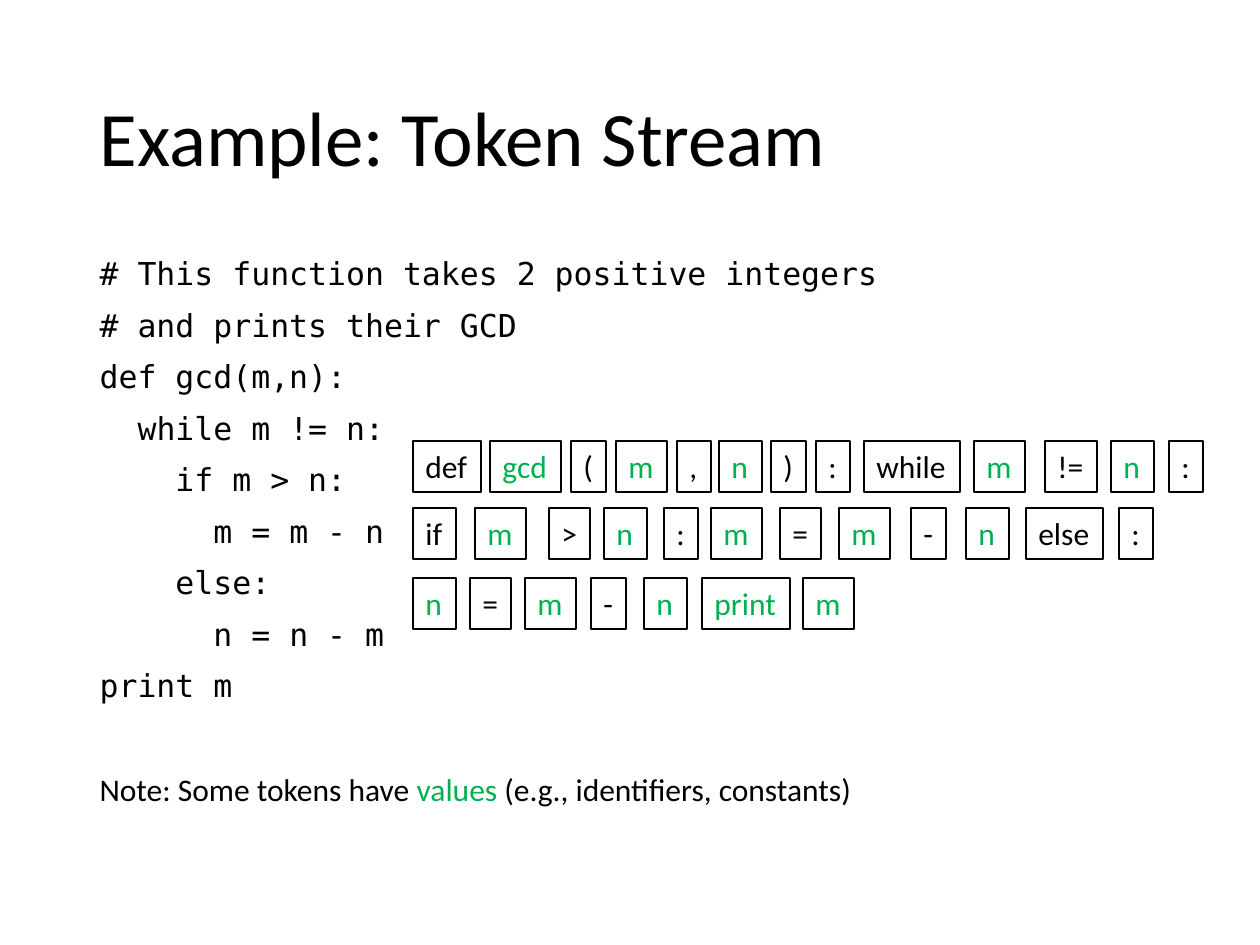
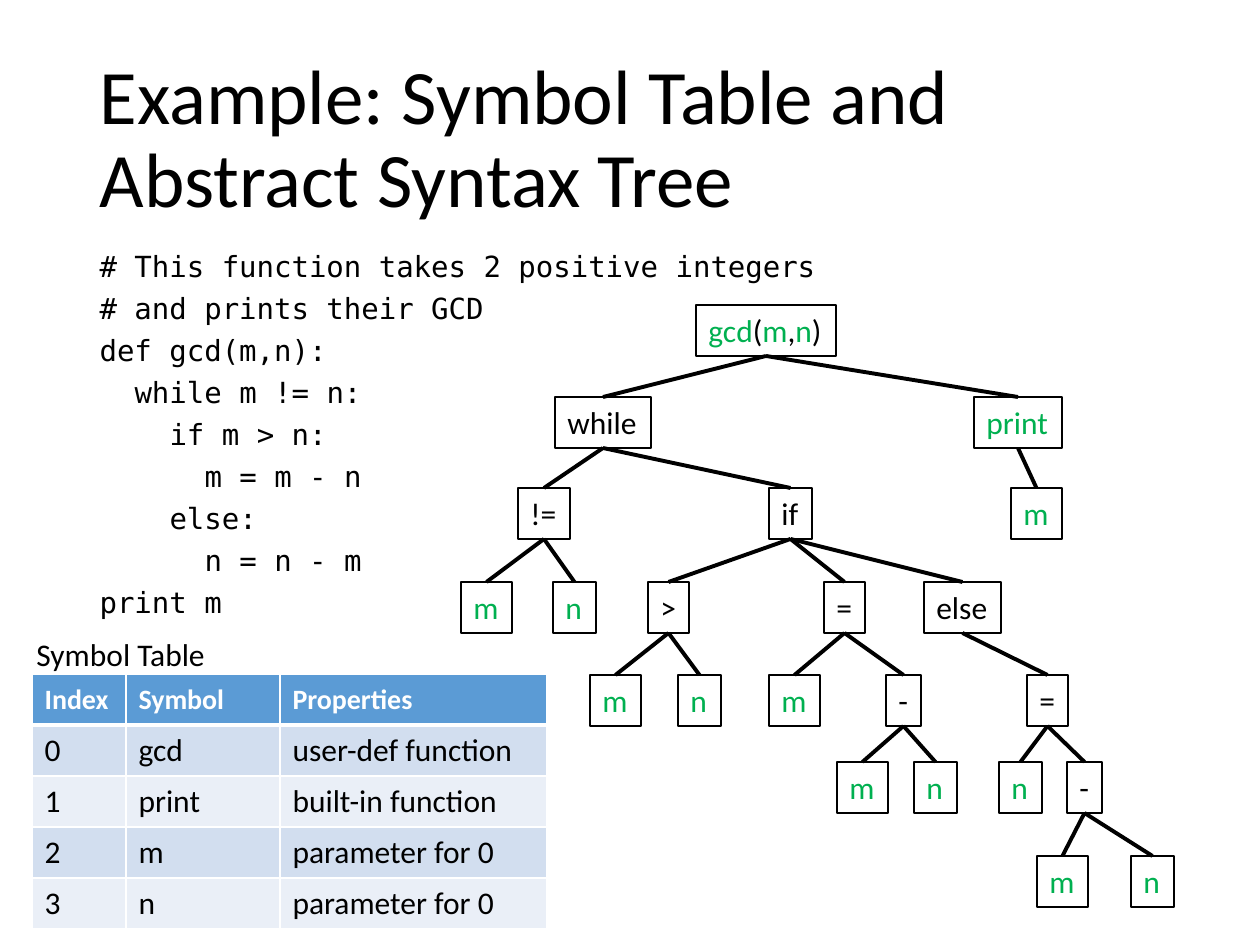
from dataclasses import dataclass
from itertools import groupby

from lxml.etree import SubElement
from pptx import Presentation
from pptx.dml.color import RGBColor
from pptx.enum.shapes import MSO_CONNECTOR
from pptx.enum.text import MSO_ANCHOR, MSO_AUTO_SIZE, PP_ALIGN
from pptx.oxml.ns import qn
from pptx.util import Emu, Pt


@dataclass(frozen=True)
class Theme:
    ink: str = "000000"
    paper: str = "FFFFFF"
    value: str = "00B050"
    header: str = "5B9BD5"
    bands: tuple = ("D2DEEF", "EAEFF7")
    font: str = "Calibri"
    mono: str = "DejaVu Sans Mono"
    title_size: float = 44
    text_size: float = 18
    small_code_size: float = 16.6
    header_size: float = 16
    box_line: float = 0.75
    branch_line: float = 2.25


THEME = Theme()
PX_PER_INCH = 126
MONO_ADVANCE = 0.602  # character width as a share of the type size

KEYWORDS = {"def", "while", "if", "else"}
BOX_HEIGHT = 51
BOX_WIDTHS = {
    "def": 68, "gcd": 71, "(": 35, ")": 35, ",": 34, ":": 34, "m": 51, "n": 43,
    "while": 96, "if": 43, "else": 77, "print": 88, "!=": 52, ">": 41, "=": 41,
    "-": 35, "gcd(m,n)": 140,
}

# (nesting depth, line)
CODE = (
    (0, "# This function takes 2 positive integers"),
    (0, "# and prints their GCD"),
    (0, "def gcd(m,n):"),
    (1, "while m != n:"),
    (2, "if m > n:"),
    (3, "m = m - n"),
    (2, "else:"),
    (3, "n = n - m"),
    (0, "print m"),
)

# (top, tokens, left edge of each token)
TOKEN_ROWS = (
    (441, "def gcd ( m , n ) : while m != n :",
     (413, 490, 571, 616, 677, 719, 771, 816, 864, 974, 1045, 1111, 1169)),
    (508, "if m > n : m = m - n else :",
     (413, 475, 549, 604, 664, 711, 780, 839, 911, 966, 1026, 1119)),
    (578, "n = m - n print m",
     (413, 470, 525, 591, 644, 702, 803)),
)

# Each node is (label, left edge, *children); its depth gives the top edge.
LEVEL_TOPS = (305, 397, 488, 582, 675, 762, 856)
SYNTAX_TREE = (
    "gcd(m,n)", 696,
    ("while", 555,
     ("!=", 518, ("m", 461), ("n", 553)),
     ("if", 769,
      (">", 648, ("m", 590), ("n", 678)),
      ("=", 824,
       ("m", 769),
       ("-", 886, ("m", 837), ("n", 914))),
      ("else", 924,
       ("=", 1027,
        ("n", 999),
        ("-", 1067, ("m", 1037), ("n", 1131)))))),
    ("print", 974, ("m", 1011)),
)

SYMBOLS = (
    ("Index", "Symbol", "Properties"),
    ("0", "gcd", "user-def function"),
    ("1", "print", "built-in function"),
    ("2", "m", "parameter for 0"),
    ("3", "n", "parameter for 0"),
)
SYMBOL_COLUMNS = (94, 154, 267)
SYMBOL_ROW = 51


def px(n):
    return Emu(round(n * 914400 / PX_PER_INCH))


def rgb(color):
    return RGBColor.from_string(color)


def add_run(p, text, size=THEME.text_size, font=THEME.font, color=THEME.ink, bold=False):
    r = p.add_run()
    r.text = text
    r.font.size, r.font.name, r.font.bold = Pt(size), font, bold
    r.font.color.rgb = rgb(color)


def place(sp, left, top, width, height):
    sp.left, sp.top, sp.width, sp.height = map(px, (left, top, width, height))


def add_slide(prs, title):
    s = prs.slides.add_slide(prs.slide_layouts[1])
    sp = s.shapes.title
    place(sp, 87, 50, 1086, 183)
    tf = sp.text_frame
    tf.auto_size = MSO_AUTO_SIZE.NONE
    tf.vertical_anchor = MSO_ANCHOR.MIDDLE
    p = tf.paragraphs[0]
    p.alignment = PP_ALIGN.LEFT
    p.line_spacing = 0.9
    add_run(p, title, size=THEME.title_size)
    return s


def format_body_line(p, spacing, before=10, indent=0):
    """Set an unbulleted line; indent is in points."""
    p.line_spacing = spacing
    p.space_before = Pt(before)
    pPr = p._p.get_or_add_pPr()
    pPr.set("marL", str(Pt(indent)))
    pPr.set("indent", "0")
    SubElement(pPr, qn("a:buNone"))


def add_code(s, height, size, spacing):
    sp = s.placeholders[1]
    place(sp, 87, 252, 1155, height)
    tf = sp.text_frame
    tf.auto_size = MSO_AUTO_SIZE.NONE
    for i, (depth, line) in enumerate(CODE):
        p = tf.add_paragraph() if i else tf.paragraphs[0]
        format_body_line(p, spacing, indent=2 * depth * MONO_ADVANCE * size)
        add_run(p, line, size=size, font=THEME.mono)
    return tf


def add_label(s, left, top, width):
    """Add a one-line text box and return it with its paragraph."""
    sp = s.shapes.add_textbox(px(left), px(top), px(width), px(BOX_HEIGHT))
    tf = sp.text_frame
    tf.word_wrap = False
    tf.auto_size = MSO_AUTO_SIZE.SHAPE_TO_FIT_TEXT
    return sp, tf.paragraphs[0]


def add_token(s, label, left, top):
    """Box a label, with names that have a value in green."""
    sp, p = add_label(s, left, top, BOX_WIDTHS[label])
    sp.line.color.rgb = rgb(THEME.ink)
    sp.line.width = Pt(THEME.box_line)
    for is_word, chars in groupby(label, str.isalpha):
        part = "".join(chars)
        has_value = is_word and part not in KEYWORDS
        add_run(p, part, color=THEME.value if has_value else THEME.ink)


def add_branch(s, x1, y1, x2, y2):
    c = s.shapes.add_connector(MSO_CONNECTOR.STRAIGHT, px(x1), px(y1), px(x2), px(y2))
    c.line.color.rgb = rgb(THEME.ink)
    c.line.width = Pt(THEME.branch_line)
    SubElement(c._element.spPr, qn("a:effectLst"))


def add_tree(s, node, depth=0):
    """Draw a node and its subtree; return the middle of the node's top edge."""
    label, left, *children = node
    top = LEVEL_TOPS[depth]
    middle = left + BOX_WIDTHS[label] / 2
    add_token(s, label, left, top)
    for child in children:
        add_branch(s, middle, top + BOX_HEIGHT, *add_tree(s, child, depth + 1))
    return middle, top


def set_borders(cell, bottom):
    tcPr = cell._tc.get_or_add_tcPr()
    widths = {"a:lnL": 1, "a:lnR": 1, "a:lnT": 1, "a:lnB": bottom}
    for i, (tag, width) in enumerate(widths.items()):
        ln = SubElement(tcPr, qn(tag), w=str(Pt(width)))
        fill = SubElement(ln, qn("a:solidFill"))
        SubElement(fill, qn("a:srgbClr"), val=THEME.paper)
        tcPr.insert(i, ln)


def add_symbol_table(s, left, top):
    rows, cols = len(SYMBOLS), len(SYMBOL_COLUMNS)
    frame = s.shapes.add_table(rows, cols, px(left), px(top),
                               px(sum(SYMBOL_COLUMNS)), px(rows * SYMBOL_ROW))
    table = frame.table
    for column, width in zip(table.columns, SYMBOL_COLUMNS):
        column.width = px(width)
    for i, record in enumerate(SYMBOLS):
        is_header = i == 0
        for cell, text in zip(table.rows[i].cells, record):
            cell.vertical_anchor = MSO_ANCHOR.MIDDLE
            cell.fill.solid()
            cell.fill.fore_color.rgb = rgb(THEME.header if is_header else THEME.bands[(i - 1) % 2])
            set_borders(cell, bottom=3 if is_header else 1)
            add_run(cell.text_frame.paragraphs[0], text, bold=is_header,
                    size=THEME.header_size if is_header else THEME.text_size,
                    color=THEME.paper if is_header else THEME.ink)


def build_token_stream(prs):
    s = add_slide(prs, "Example: Token Stream")
    tf = add_code(s, height=644, size=THEME.text_size, spacing=0.9)
    note = tf.add_paragraph()
    format_body_line(note, 0.9, before=40)
    add_run(note, "Note: Some tokens have ")
    add_run(note, "values", color=THEME.value)
    add_run(note, " (e.g., identifiers, constants)")
    for top, tokens, lefts in TOKEN_ROWS:
        for token, left in zip(tokens.split(), lefts):
            add_token(s, token, left, top)


def build_syntax_tree(prs):
    s = add_slide(prs, "Example: Symbol Table and Abstract Syntax Tree")
    add_code(s, height=389, size=THEME.small_code_size, spacing=0.7)
    add_tree(s, SYNTAX_TREE)
    add_symbol_table(s, 32, 674)
    _, p = add_label(s, 24, 629, 195)
    add_run(p, "Symbol Table")


def main():
    prs = Presentation()
    prs.slide_width, prs.slide_height = px(1260), px(945)
    build_token_stream(prs)
    build_syntax_tree(prs)
    prs.save("out.pptx")


if __name__ == "__main__":
    main()
